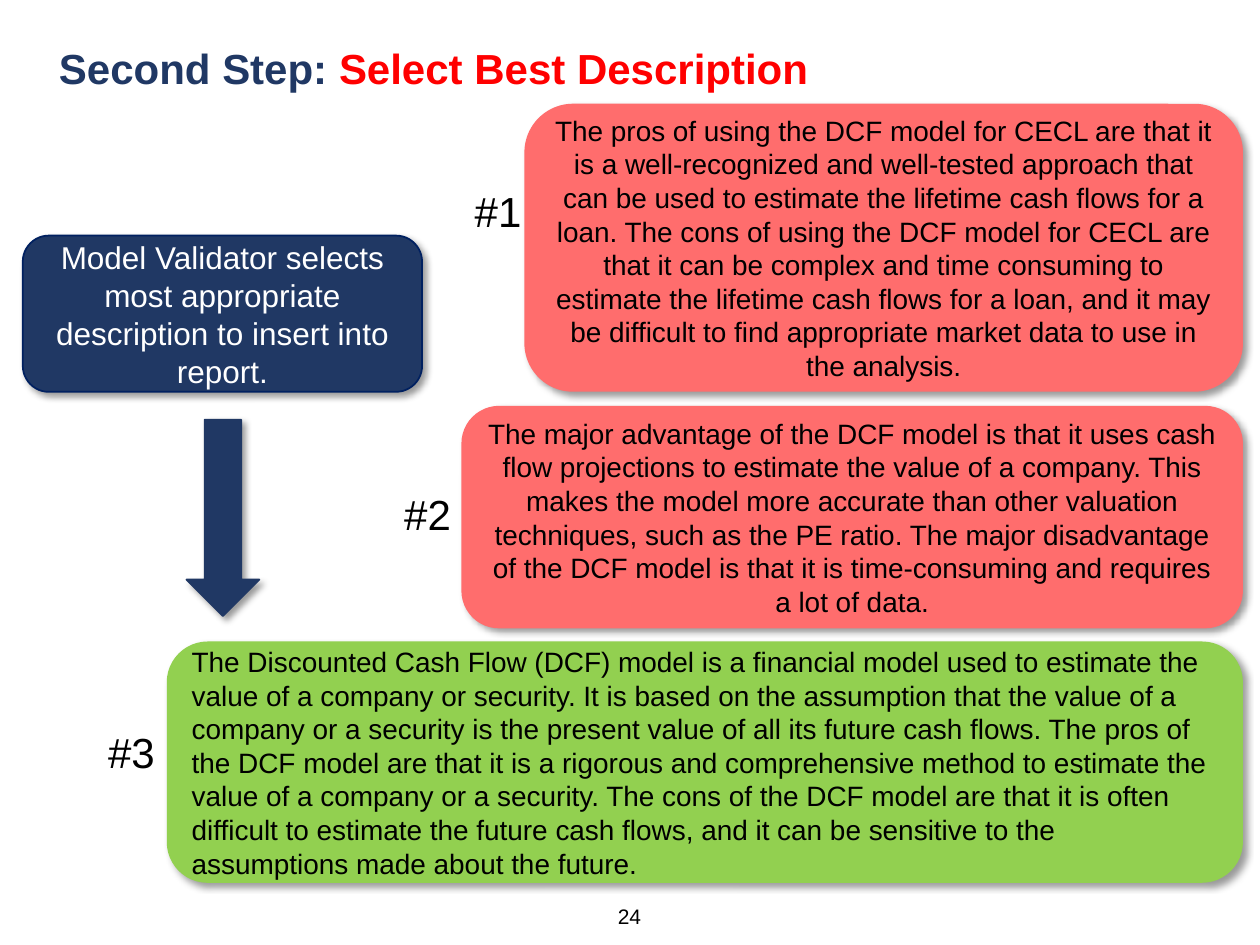
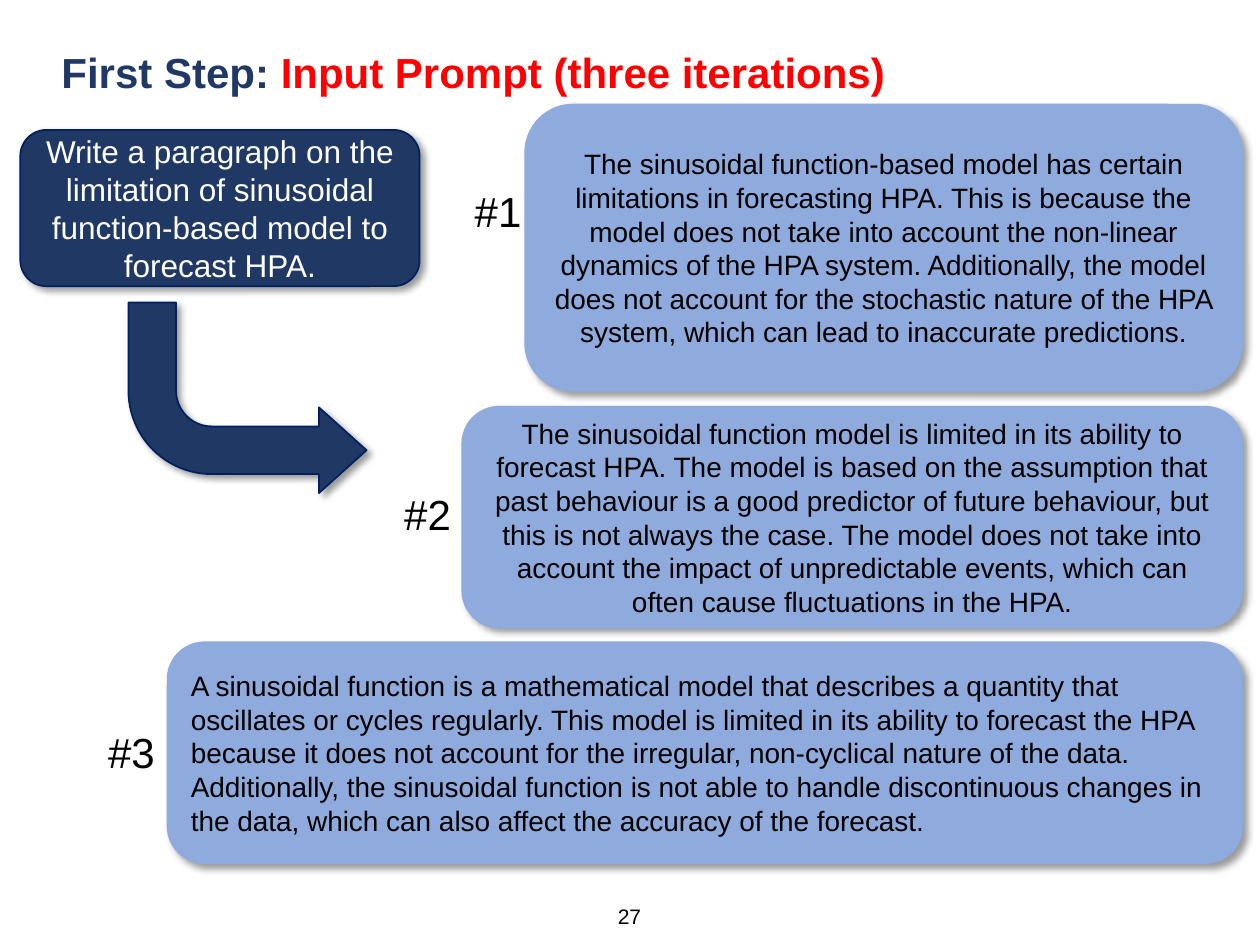
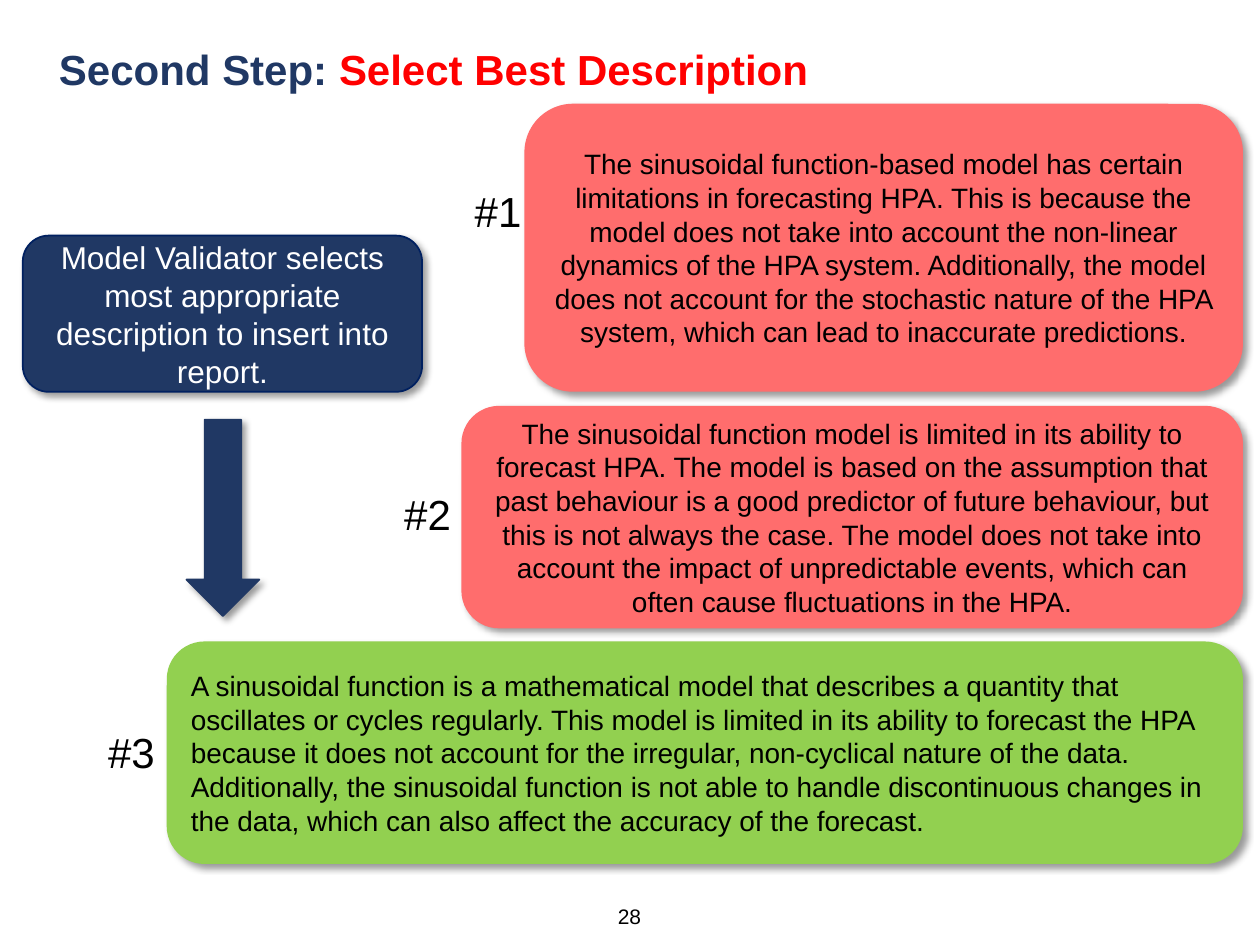
from dataclasses import dataclass

from lxml.etree import SubElement
from pptx import Presentation
from pptx.dml.color import RGBColor
from pptx.enum.shapes import MSO_SHAPE
from pptx.enum.text import MSO_ANCHOR, PP_ALIGN
from pptx.oxml.ns import qn
from pptx.shapes.autoshape import Shape
from pptx.slide import Slide
from pptx.text.text import TextFrame
from pptx.util import Cm, Pt

COLORS = {
    "navy": "203864",
    "navy_edge": "002060",
    "accent": "FF0000",
    "rejected": "FF6D6D",
    "selected": "92D050",
    "candidate": "8FAADC",
    "black": "000000",
    "white": "FFFFFF",
}
FONT = "Arial"
ANSWER_RIGHT = 25.04


@dataclass(frozen=True)
class Area:
    left: float
    top: float
    width: float
    height: float

    def lengths(self) -> tuple[Cm, Cm, Cm, Cm]:
        return Cm(self.left), Cm(self.top), Cm(self.width), Cm(self.height)


@dataclass(frozen=True)
class AnswerSlot:
    left: float
    top: float
    height: float
    label_left: float
    label_top: float
    align: PP_ALIGN


@dataclass(frozen=True)
class Step:
    name: str
    task: str
    title_left: float
    title_top: float
    box_text: str
    box_left: float
    box_top: float
    is_prompt: bool
    answer_colors: tuple[str, str, str]


@dataclass(frozen=True)
class Page:
    number: int
    step: Step
    answers: tuple[str, str, str]
    last_height: float = 4.45
    title_shift: float = 0


SLOTS = (
    AnswerSlot(10.59, 2.11, 5.77, 9.32, 3.61, PP_ALIGN.CENTER),
    AnswerSlot(9.32, 8.2, 4.45, 7.9, 9.73, PP_ALIGN.CENTER),
    AnswerSlot(3.38, 12.95, 4.45, 1.93, 14.53, PP_ALIGN.LEFT),
)

# Wording
DCF_ANSWERS = (
    "The pros of using the DCF model for CECL are that it is a well-recognized and "
    "well-tested approach that can be used to estimate the lifetime cash flows for a loan. "
    "The cons of using the DCF model for CECL are that it can be complex and time consuming "
    "to estimate the lifetime cash flows for a loan, and it may be difficult to find "
    "appropriate market data to use in the analysis.",
    "The major advantage of the DCF model is that it uses cash flow projections to estimate "
    "the value of a company. This makes the model more accurate than other valuation "
    "techniques, such as the PE ratio. The major disadvantage of the DCF model is that it is "
    "time-consuming and requires a lot of data.",
    "The Discounted Cash Flow (DCF) model is a financial model used to estimate the value of "
    "a company or security. It is based on the assumption that the value of a company or a "
    "security is the present value of all its future cash flows. The pros of the DCF model "
    "are that it is a rigorous and comprehensive method to estimate the value of a company "
    "or a security. The cons of the DCF model are that it is often difficult to estimate the "
    "future cash flows, and it can be sensitive to the assumptions made about the future.",
)
SINUSOIDAL_ANSWERS = (
    "The sinusoidal function-based model has certain limitations in forecasting HPA. This is "
    "because the model does not take into account the non-linear dynamics of the HPA system. "
    "Additionally, the model does not account for the stochastic nature of the HPA system, "
    "which can lead to inaccurate predictions.",
    "The sinusoidal function model is limited in its ability to forecast HPA. The model is "
    "based on the assumption that past behaviour is a good predictor of future behaviour, "
    "but this is not always the case. The model does not take into account the impact of "
    "unpredictable events, which can often cause fluctuations in the HPA.",
    "A sinusoidal function is a mathematical model that describes a quantity that oscillates "
    "or cycles regularly. This model is limited in its ability to forecast the HPA because "
    "it does not account for the irregular, non-cyclical nature of the data. Additionally, "
    "the sinusoidal function is not able to handle discontinuous changes in the data, which "
    "can also affect the accuracy of the forecast.",
)
PROMPT = Step(
    "First Step: ", "Input Prompt (three iterations)", 0.99, 0.81,
    "Write a paragraph on the limitation of sinusoidal function-based model to forecast HPA.",
    0.41, 2.62, True, ("candidate", "candidate", "candidate"),
)
SELECTION = Step(
    "Second Step: ", "Select Best Description", 0.94, 0.74,
    "Model Validator selects most appropriate description to insert into report.",
    0.46, 4.75, False, ("rejected", "rejected", "selected"),
)
PAGES = (
    Page(24, SELECTION, DCF_ANSWERS, last_height=4.83),
    Page(27, PROMPT, SINUSOIDAL_ANSWERS),
    Page(28, SELECTION, SINUSOIDAL_ANSWERS, title_shift=0.02),
)


def rgb(color: str) -> RGBColor:
    return RGBColor.from_string(COLORS[color])


def write(frame: TextFrame, text: str, size: int, color: str = "black",
          align: PP_ALIGN = PP_ALIGN.LEFT) -> None:
    para = frame.paragraphs[0]
    para.text = text
    para.alignment = align
    para.font.name = FONT
    para.font.size = Pt(size)
    para.font.color.rgb = rgb(color)


def add_shadow(shape: Shape) -> None:
    shape.shadow.inherit = False
    effects = shape.element.spPr.find(qn("a:effectLst"))
    shadow = SubElement(effects, qn("a:outerShdw"), blurRad=str(Pt(4)), dist=str(Pt(3)),
                        dir=str(45 * 60000), algn="tl", rotWithShape="0")
    tint = SubElement(shadow, qn("a:srgbClr"), val=COLORS["black"])
    SubElement(tint, qn("a:alpha"), val="40000")


def add_solid(slide: Slide, kind: MSO_SHAPE, area: Area, fill: str, edge: str) -> Shape:
    shape = slide.shapes.add_shape(kind, *area.lengths())
    shape.fill.solid()
    shape.fill.fore_color.rgb = rgb(fill)
    shape.line.color.rgb = rgb(edge)
    shape.line.width = Pt(1)
    add_shadow(shape)
    return shape


def add_box(slide: Slide, area: Area, text: str, size: int, fill: str, edge: str,
            color: str, align: PP_ALIGN) -> None:
    box = add_solid(slide, MSO_SHAPE.ROUNDED_RECTANGLE, area, fill, edge)
    frame = box.text_frame
    frame.word_wrap = True
    frame.vertical_anchor = MSO_ANCHOR.MIDDLE
    write(frame, text, size, color, align)


def add_title(slide: Slide, page: Page) -> None:
    step = page.step
    area = Area(step.title_left, step.title_top + page.title_shift, 23.77, 1.27)
    frame = slide.shapes.add_textbox(*area.lengths()).text_frame
    frame.word_wrap = True
    para = frame.paragraphs[0]
    para.font.name = FONT
    para.font.size = Pt(24)
    para.font.bold = True
    for text, color in ((step.name, "navy"), (step.task, "accent")):
        span = para.add_run()
        span.text = text
        span.font.color.rgb = rgb(color)


def add_page_number(slide: Slide, number: int) -> None:
    frame = slide.shapes.add_textbox(*Area(12.27, 18.21, 0.84, 0.51).lengths()).text_frame
    frame.margin_left = frame.margin_right = frame.margin_top = frame.margin_bottom = 0
    frame.word_wrap = True
    write(frame, str(number), 12, align=PP_ALIGN.CENTER)


def add_step_arrow(slide: Slide, is_prompt: bool) -> None:
    if not is_prompt:
        add_solid(slide, MSO_SHAPE.DOWN_ARROW, Area(3.76, 8.46, 1.47, 3.96), "navy", "navy")
        return
    arrow = add_solid(slide, MSO_SHAPE.BENT_ARROW, Area(2.59, 6.1, 4.8, 3.84),
                      "navy", "navy_edge")
    for index, value in enumerate((0.25, 0.225, 0.25, 0.438)):
        arrow.adjustments[index] = value
    arrow.rotation = 180
    arrow.element.spPr.find(qn("a:xfrm")).set("flipH", "1")


def add_answers(slide: Slide, page: Page) -> None:
    heights = (SLOTS[0].height, SLOTS[1].height, page.last_height)
    rows = zip(SLOTS, heights, page.answers, page.step.answer_colors)
    for number, (slot, height, answer, color) in enumerate(rows, start=1):
        area = Area(slot.left, slot.top, ANSWER_RIGHT - slot.left, height)
        add_box(slide, area, answer, 16, color, color, "black", slot.align)
        label_area = Area(slot.label_left, slot.label_top, 1.47, 1.27)
        label = slide.shapes.add_textbox(*label_area.lengths())
        label.text_frame.word_wrap = False
        write(label.text_frame, f"#{number}", 24)


def main() -> None:
    deck = Presentation()
    deck.slide_width, deck.slide_height = Cm(25.4), Cm(19.05)
    for page in PAGES:
        slide = deck.slides.add_slide(deck.slide_layouts[6])
        step = page.step
        add_title(slide, page)
        add_page_number(slide, page.number)
        add_box(slide, Area(step.box_left, step.box_top, 8.05, 3.15), step.box_text, 18,
                "navy", "navy_edge", "white", PP_ALIGN.CENTER)
        add_step_arrow(slide, step.is_prompt)
        add_answers(slide, page)
    deck.save("out.pptx")


if __name__ == "__main__":
    main()
